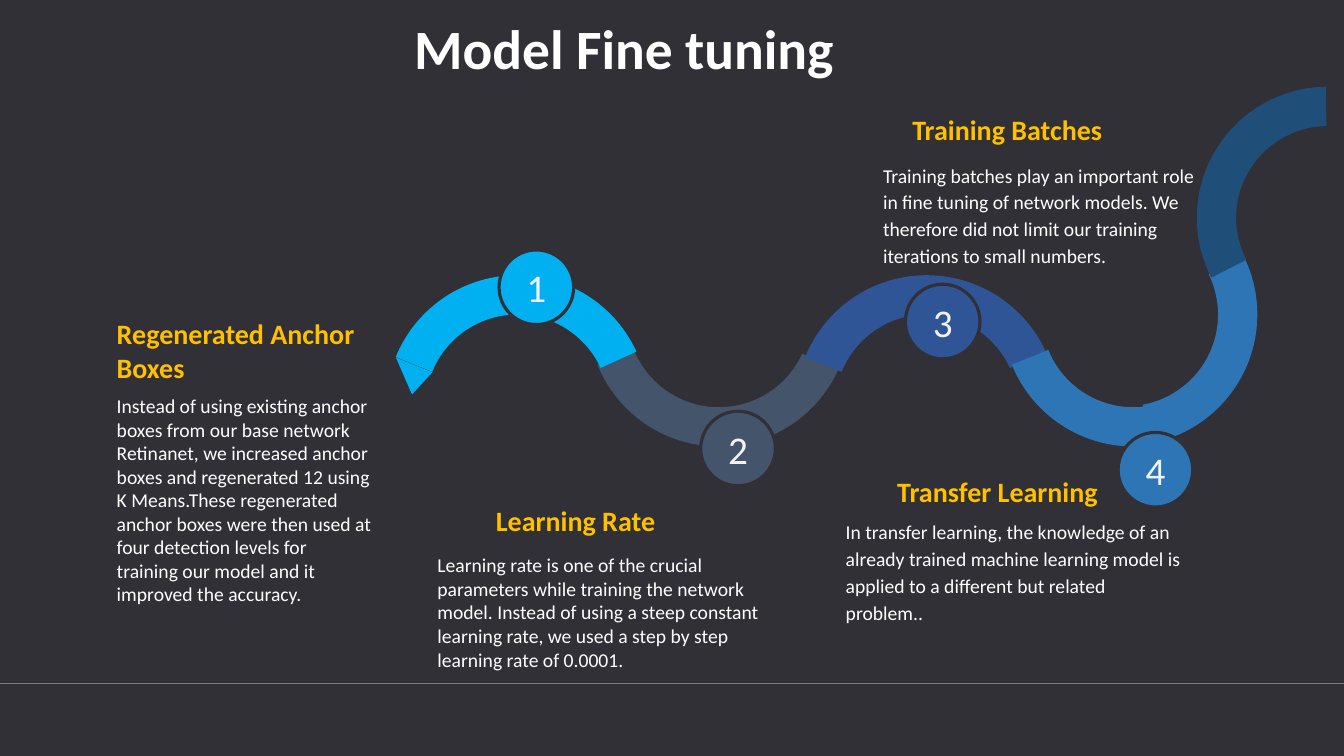
from pptx import Presentation
from pptx.dml.color import RGBColor
from pptx.enum.shapes import MSO_CONNECTOR, MSO_SHAPE
from pptx.enum.text import MSO_ANCHOR, MSO_AUTO_SIZE, PP_ALIGN
from pptx.oxml.ns import qn
from pptx.util import Inches, Pt
from lxml.etree import SubElement

FONT = "Calibri"
COLORS = {
    "background": "313036",
    "rule": "7F7F7F",
    "white": "FFFFFF",
    "number": "F2F2F2",
    "heading": "FFC000",
    "cyan": "00B0F0",
    "slate": "44546A",
    "navy": "2F5597",
    "blue": "2E75B6",
    "deep": "1F4E79",
}
ARC_SIZE = 2.6
CIRCLE_SIZE = 0.74
HEADING_HEIGHT = 0.77

# left, top, rotation, flipped vertically, adjustments, color
ARCS = [
    (5.83, 1.83, 338.5, False, (0.33, 80.32, 0.15), "slate"),
    (7.89, 2.73, 21.5, True, (0.33, 80.32, 0.15), "navy"),
    (9.94, 1.83, 338.5, False, (0.33, 47.59, 0.15), "blue"),
    (9.87, 1.82, 263, False, (1.96, 65.52, 0.15), "blue"),
    (11.87, 0.86, 351.3, True, (204.88, 58.69, 0.15), "deep"),
    (3.83, 2.73, 21.5, True, (0.33, 80.32, 0.15), "cyan"),
]

# left, top, color, in step order
CIRCLES = [
    (4.95, 2.48, "cyan"),
    (6.95, 4.08, "slate"),
    (8.98, 2.82, "navy"),
    (11.09, 4.29, "blue"),
]

# heading, its left, top, width; body, its left, top, width, height, line spacing
STEPS = [
    ("Regenerated Anchor Boxes", (1.06, 3.09, 2.86),
     "Instead of using existing anchor boxes from our base network Retinanet, "
     "we increased anchor boxes and regenerated 12 using K Means.These regenerated "
     "anchor boxes were then used at four detection levels for training our model "
     "and it improved the accuracy.", (1.06, 3.86, 2.73, 2.46), None),
    ("Learning Rate", (4.82, 4.95, 2.55),
     "Learning rate is one of the crucial parameters while training the network "
     "model. Instead of using a steep constant learning rate, we used a step by "
     "step learning rate of 0.0001.", (4.24, 5.44, 3.76, 1.51), None),
    ("Training Batches", (8.95, 1.07, 2.14),
     "Training batches play an important role in fine tuning of network models. "
     "We therefore did not limit our training iterations to small numbers.",
     (8.66, 1.54, 3.46, 1.41), 1.14),
    ("Transfer Learning", (8.8, 4.66, 2.29),
     "In transfer learning, the knowledge of an already trained machine learning "
     "model is applied to a different but related problem..",
     (8.29, 5.08, 3.54, 1.14), 1.14),
]


def rgb(name):
    return RGBColor.from_string(COLORS[name])


def write(shape, text, size, color, bold=False, align=PP_ALIGN.LEFT, spacing=None):
    shape.text_frame.text = text
    paragraph = shape.text_frame.paragraphs[0]
    paragraph.alignment = align
    if spacing:
        paragraph.line_spacing = spacing
    font = paragraph.runs[0].font
    font.name, font.size, font.bold = FONT, Pt(size), bold
    font.color.rgb = rgb(color)


def add_text(slide, box, text, size, color, **style):
    shape = slide.shapes.add_textbox(*map(Inches, box))
    shape.text_frame.word_wrap = True
    shape.text_frame.auto_size = MSO_AUTO_SIZE.SHAPE_TO_FIT_TEXT
    write(shape, text, size, color, **style)
    return shape


def add_filled(slide, kind, box, color, rotation=0, adjustments=()):
    shape = slide.shapes.add_shape(kind, *map(Inches, box))
    shape.shadow.inherit = False
    shape.fill.solid()
    shape.fill.fore_color.rgb = rgb(color)
    shape.line.fill.background()
    shape.rotation = rotation
    for index, value in enumerate(adjustments):
        shape.adjustments[index] = value
    return shape


def add_arc(slide, left, top, rotation, flipped_vertically, adjustments, color):
    shape = add_filled(slide, MSO_SHAPE.BLOCK_ARC, (left, top, ARC_SIZE, ARC_SIZE),
                       color, rotation, adjustments)
    transform = shape.element.spPr.find(qn("a:xfrm"))
    transform.set("flipH", "1")
    if flipped_vertically:
        transform.set("flipV", "1")


def add_circle(slide, number, left, top, color):
    shape = add_filled(slide, MSO_SHAPE.OVAL, (left, top, CIRCLE_SIZE, CIRCLE_SIZE), color)
    shape.line.color.rgb = rgb("background")
    shape.line.width = Pt(2.25)
    shape.text_frame.vertical_anchor = MSO_ANCHOR.MIDDLE
    write(shape, str(number), 28, "number", align=PP_ALIGN.CENTER)


def add_rule(slide, top, width):
    rule = slide.shapes.add_connector(MSO_CONNECTOR.STRAIGHT, 0, Inches(top),
                                      Inches(width), Inches(top))
    rule.line.color.rgb = rgb("rule")
    rule.line.width = Pt(0.25)
    SubElement(rule.element.spPr, qn("a:effectLst"))


def add_title(slide, text):
    title = add_text(slide, (0.44, 0.37, 11.5, 0.94), text, 39.6, "white",
                     bold=True, align=PP_ALIGN.CENTER, spacing=0.9)
    frame = title.text_frame
    frame.auto_size = MSO_AUTO_SIZE.NONE
    frame.vertical_anchor = MSO_ANCHOR.MIDDLE
    frame.margin_bottom = Inches(0.7)  # lifts the line to the top of the box


def main():
    presentation = Presentation()
    presentation.slide_width = Inches(13.33)
    presentation.slide_height = Inches(7.5)
    slide = presentation.slides.add_slide(presentation.slide_layouts[6])
    slide.background.fill.solid()
    slide.background.fill.fore_color.rgb = rgb("background")

    # Footer rule and title
    add_rule(slide, 6.78, 13.33)
    add_title(slide, "Model Fine tuning")

    # Winding road with its pointed start
    for arc in ARCS:
        add_arc(slide, *arc)
    add_filled(slide, MSO_SHAPE.ISOSCELES_TRIANGLE, (3.86, 3.61, 0.39, 0.28),
               "cyan", 202, (0.27,))

    # Numbered stops
    for number, circle in enumerate(CIRCLES, start=1):
        add_circle(slide, number, *circle)

    # Step descriptions
    for heading, heading_box, body, body_box, spacing in STEPS:
        add_text(slide, body_box, body, 14, "white", spacing=spacing)
        add_text(slide, (*heading_box, HEADING_HEIGHT), heading, 20, "heading", bold=True)

    presentation.save("out.pptx")


if __name__ == "__main__":
    main()
